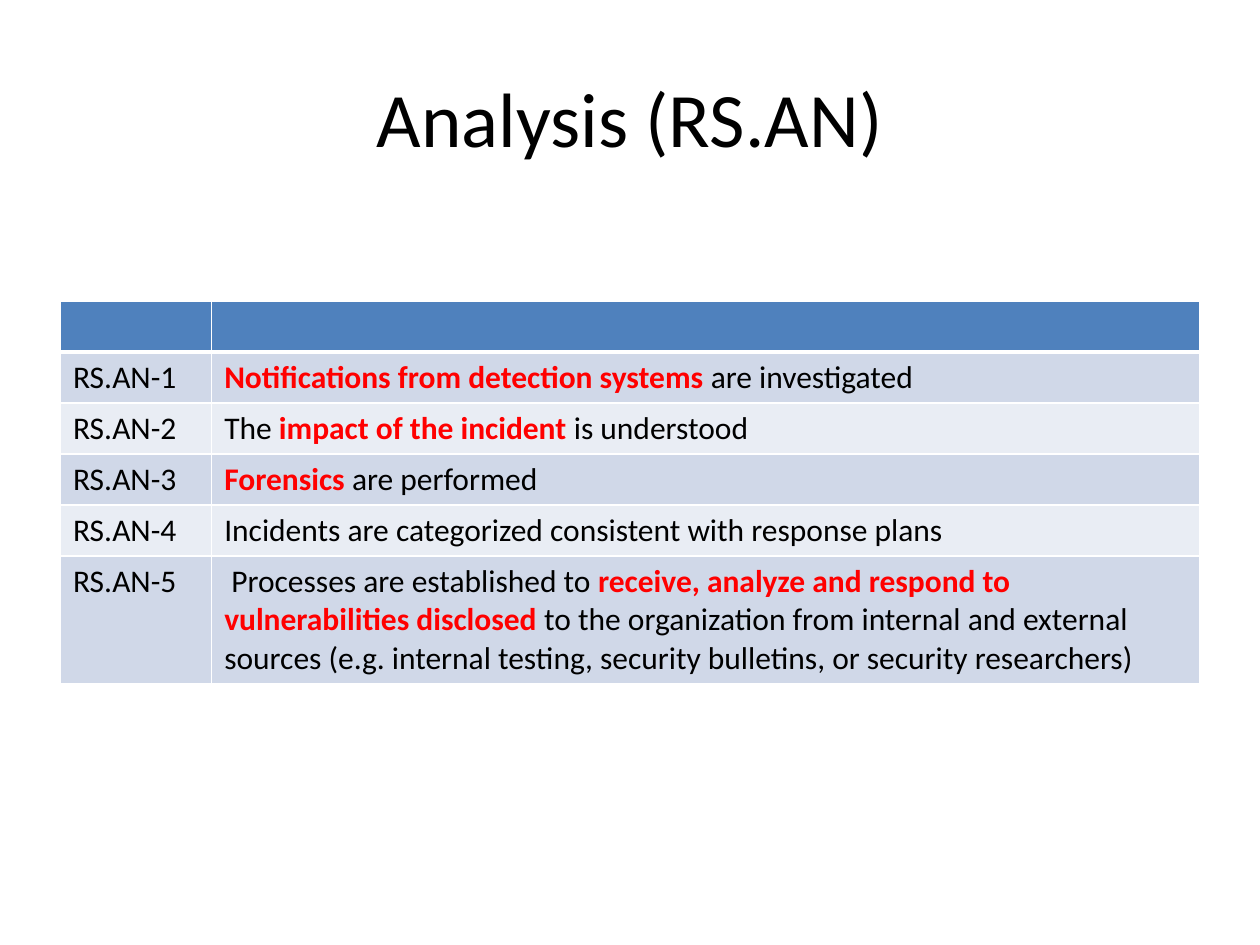
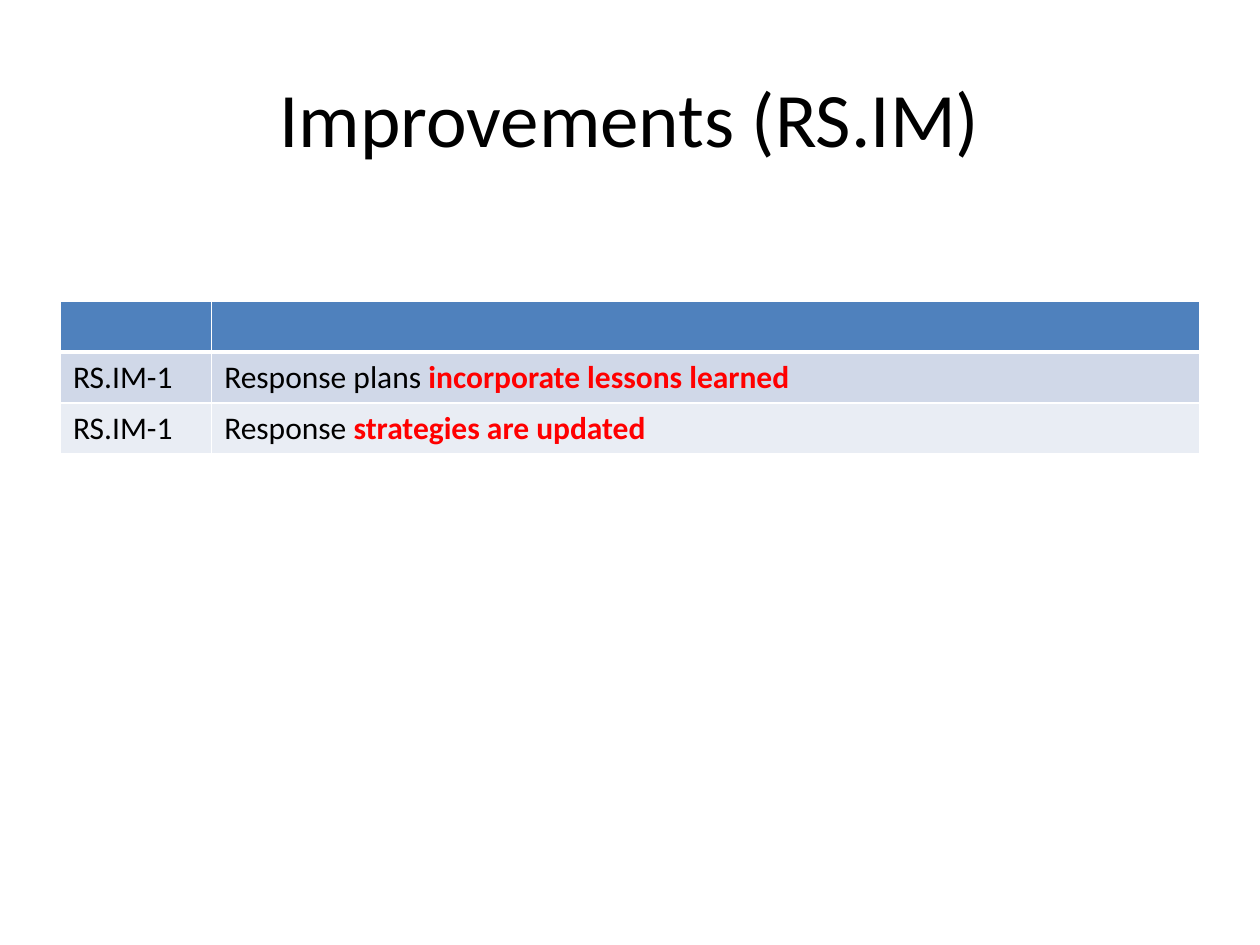
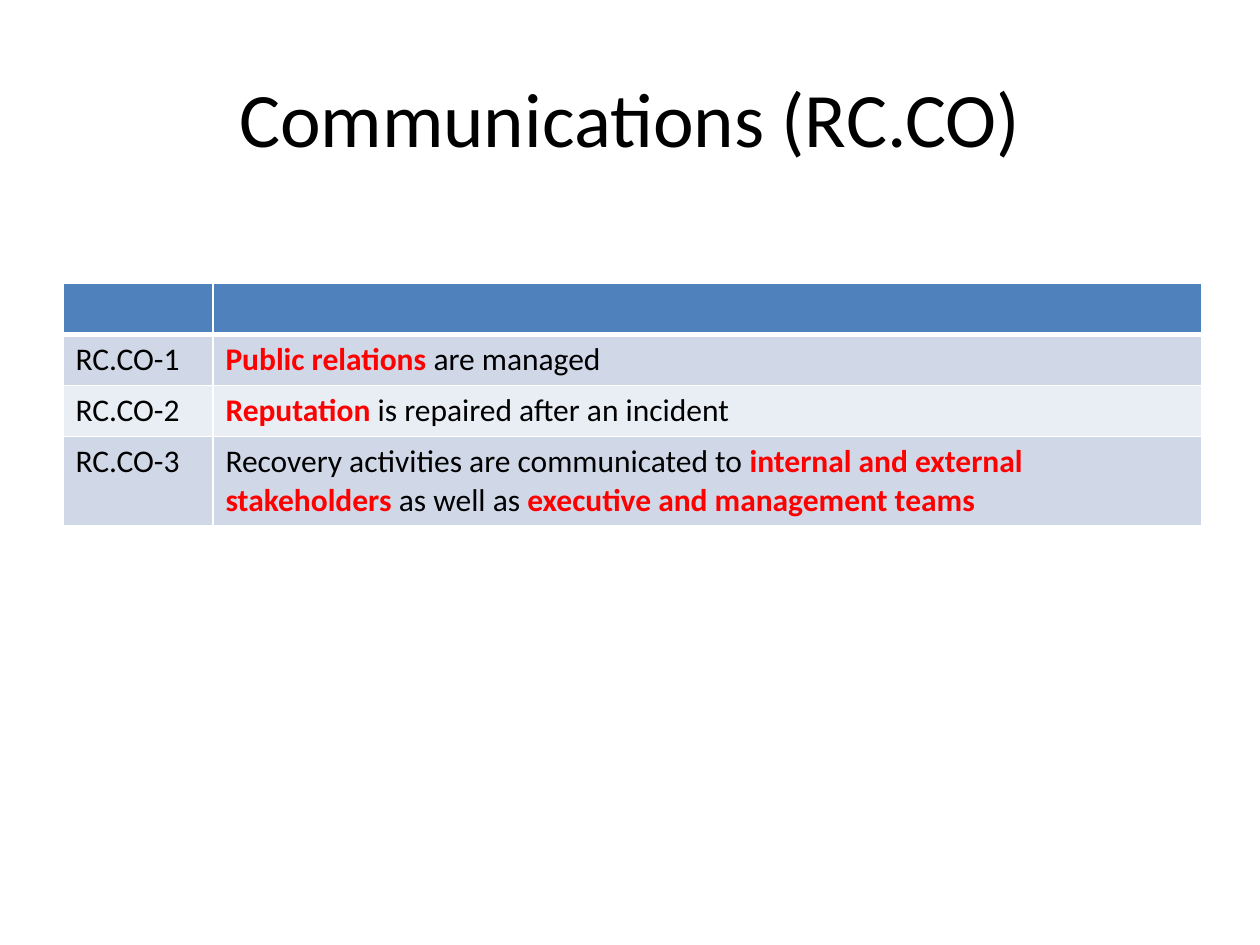
import pptx
import pptx.dml.color
import pptx.enum.text
import pptx.oxml
import pptx.oxml.ns
import pptx.util

Pt = pptx.util.Pt
RGB = pptx.dml.color.RGBColor.from_string
ALIGN = pptx.enum.text.PP_ALIGN
ANCHOR = pptx.enum.text.MSO_ANCHOR

# Asterisks enclose emphasised words; each row is (code, text, lines of text).
SLIDES = [
    {
        "title": "Analysis (RS.AN)",
        "origin": (34.56, 172.08),
        "columns": (86.4, 564.48),
        "rows": [
            ("RS.AN-1", "*Notifications from detection systems* are investigated", 1),
            ("RS.AN-2", "The *impact of the incident *is understood", 1),
            ("RS.AN-3", "*Forensics* are performed", 1),
            ("RS.AN-4", "Incidents are categorized consistent with response plans", 1),
            ("RS.AN-5", " Processes are established to *receive, analyze and respond to "
             "vulnerabilities disclosed* to the organization from internal and external "
             "sources (e.g. internal testing, security bulletins, or security researchers)", 3),
        ],
    },
    {
        "title": "Improvements (RS.IM)",
        "origin": (34.56, 172.08),
        "columns": (86.4, 564.48),
        "rows": [
            ("RS.IM-1", "Response plans *incorporate lessons learned*", 1),
            ("RS.IM-1", "Response *strategies are updated*", 1),
        ],
    },
    {
        "title": "Communications (RC.CO)",
        "origin": (36, 162),
        "columns": (85.68, 565.2),
        "rows": [
            ("RC.CO-1", "*Public relations *are managed", 1),
            ("RC.CO-2", "*Reputation* is repaired after an incident", 1),
            ("RC.CO-3", "Recovery activities are communicated to *internal and external "
             "stakeholders *as well as *executive and management teams*", 2),
        ],
    },
]

THEME = {
    "font": "Calibri",
    "title_size": 44,
    "body_size": 18,
    "text": "000000",
    "emphasis": "FF0000",
    "header": "4F81BD",
    "bands": ("D0D8E8", "E9EDF4"),
    "border": "FFFFFF",
    "thin": 1,
    "thick": 3,
}
SLIDE_SIZE = (720, 540)
TITLE_BOX = (36, 21.6, 648, 90)
LINE_HEIGHT = 21.95
CELL_PADDING = 7.2


def write(tf, text, size=THEME["body_size"], align=ALIGN.LEFT):
    """Fill a text frame, giving the words between asterisks the emphasis style."""
    p = tf.paragraphs[0]
    p.alignment = align
    p.font.size = Pt(size)
    for i, part in enumerate(text.split("*")):
        if not part:
            continue
        emphasised = i % 2 == 1
        r = p.add_run()
        r.text = part
        r.font.name = THEME["font"]
        r.font.size = Pt(size)
        r.font.bold = emphasised
        r.font.color.rgb = RGB(THEME["emphasis" if emphasised else "text"])


def style_cell(cell, fill, top, bottom):
    tc_pr = cell._tc.get_or_add_tcPr()
    widths = {"lnL": THEME["thin"], "lnR": THEME["thin"], "lnT": top, "lnB": bottom}
    for side, width in widths.items():
        tc_pr.append(pptx.oxml.parse_xml(
            f'<a:{side} {pptx.oxml.ns.nsdecls("a")} w="{Pt(width)}"><a:solidFill>'
            f'<a:srgbClr val="{THEME["border"]}"/></a:solidFill></a:{side}>'))
    cell.fill.solid()
    cell.fill.fore_color.rgb = RGB(fill)


def add_title(slide, text):
    sp = slide.shapes.add_textbox(*map(Pt, TITLE_BOX))
    tf = sp.text_frame
    tf.word_wrap = True
    tf.vertical_anchor = ANCHOR.MIDDLE
    write(tf, text, size=THEME["title_size"], align=ALIGN.CENTER)


def add_controls_table(slide, origin, columns, rows):
    rows = [("", "", 1)] + rows
    heights = [lines * LINE_HEIGHT + CELL_PADDING for _, _, lines in rows]
    frame = slide.shapes.add_table(len(rows), len(columns), *map(Pt, origin),
                                   Pt(sum(columns)), Pt(sum(heights)))
    table = frame.table
    for column, width in zip(table.columns, columns):
        column.width = Pt(width)
    for i, (code, text, _) in enumerate(rows):
        table.rows[i].height = Pt(heights[i])
        fill = THEME["bands"][(i - 1) % 2] if i else THEME["header"]
        top = THEME["thick" if i == 1 else "thin"]
        bottom = THEME["thick" if i == 0 else "thin"]
        for cell, content in zip(table.rows[i].cells, (code, text)):
            style_cell(cell, fill, top, bottom)
            write(cell.text_frame, content)


def main():
    prs = pptx.Presentation()
    prs.slide_width, prs.slide_height = map(Pt, SLIDE_SIZE)
    for content in SLIDES:
        slide = prs.slides.add_slide(prs.slide_layouts[6])
        add_title(slide, content["title"])
        add_controls_table(slide, content["origin"], content["columns"], content["rows"])
    prs.save("out.pptx")


if __name__ == "__main__":
    main()
